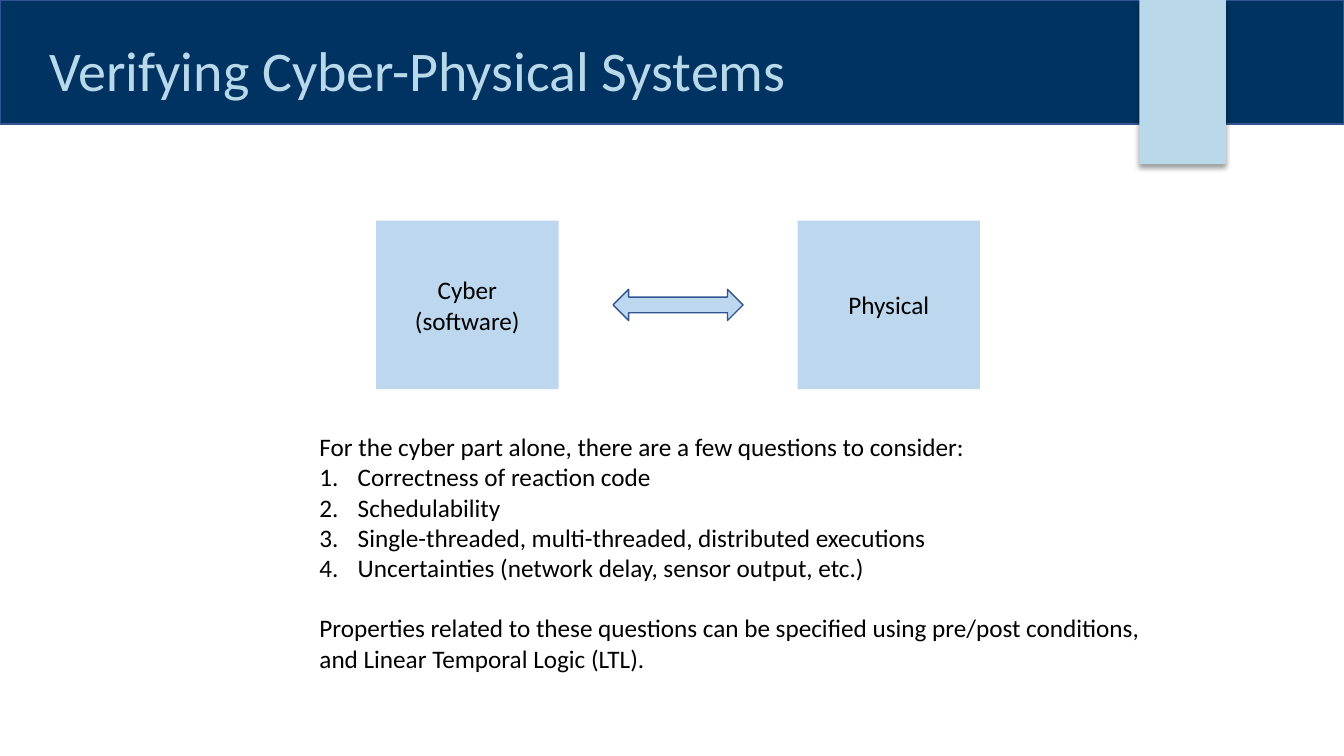
from lxml import etree
from pptx import Presentation
from pptx.dml.color import RGBColor
from pptx.enum.shapes import MSO_SHAPE
from pptx.enum.text import MSO_ANCHOR, PP_ALIGN
from pptx.oxml import parse_xml
from pptx.oxml.ns import qn
from pptx.util import Inches, Pt

RECTANGLE = MSO_SHAPE.RECTANGLE
DOUBLE_ARROW = MSO_SHAPE.LEFT_RIGHT_ARROW
TOP, MIDDLE, BOTTOM = MSO_ANCHOR.TOP, MSO_ANCHOR.MIDDLE, MSO_ANCHOR.BOTTOM
LEFT, CENTER = PP_ALIGN.LEFT, PP_ALIGN.CENTER

NAVY, SKY, PALE, EDGE, BLACK = "003262", "B9D9EB", "BDD7EE", "325491", "000000"
BODY = {"name": "Calibri", "size": Pt(18)}
HEADING = {"name": "Calibri", "size": Pt(40)}
QUESTIONS = [
    "Correctness of reaction code",
    "Schedulability",
    "Single-threaded, multi-threaded, distributed executions",
    "Uncertainties (network delay, sensor output, etc.)",
]
SHADOW = (
    '<a:effectLst xmlns:a="http://schemas.openxmlformats.org/drawingml/2006/main">'
    '<a:outerShdw blurRad="50800" dist="38100" dir="5400000" rotWithShape="0">'
    '<a:srgbClr val="000000"><a:alpha val="40000"/></a:srgbClr>'
    "</a:outerShdw></a:effectLst>"
)


def color(value):
    """Turn a hex string into a colour."""
    return RGBColor.from_string(value)


def add_block(page, kind, box, fill, line=None):
    """Add a filled preset shape, with an outline if a line colour is given."""
    block = page.shapes.add_shape(kind, *map(Inches, box))
    block.shadow.inherit = False
    block.fill.solid()
    block.fill.fore_color.rgb = color(fill)
    if line:
        block.line.color.rgb = color(line)
        block.line.width = Pt(1)
    else:
        block.line.fill.background()
    return block


def write(shape, lines, font, ink, anchor=TOP, align=LEFT):
    """Write one paragraph per line and return the paragraphs."""
    frame = shape.text_frame
    frame.word_wrap = True
    frame.vertical_anchor = anchor
    frame.text = "\n".join(lines)
    for para in frame.paragraphs:
        para.alignment = align
        for span in para.runs:
            for name, value in font.items():
                setattr(span.font, name, value)
            span.font.color.rgb = color(ink)
    return frame.paragraphs


def number(para, indent):
    """Give a paragraph an automatic number with a hanging indent."""
    props = para._p.get_or_add_pPr()
    props.set("marL", str(Inches(indent)))
    props.set("indent", str(Inches(-indent)))
    bullet_font = etree.SubElement(props, qn("a:buFont"))
    bullet_font.set("typeface", "+mj-lt")
    etree.SubElement(props, qn("a:buAutoNum")).set("type", "arabicPeriod")


def add_header(page, box):
    """Draw the title band with its hanging ribbon."""
    left, top, width, height = box
    add_block(page, RECTANGLE, box, NAVY, EDGE)
    title_box = (left + 0.39, top + 0.15, 10.51, 0.93)
    title = page.shapes.add_textbox(*map(Inches, title_box))
    lines = write(title, ["Verifying Cyber-Physical Systems"], HEADING, SKY, BOTTOM)
    lines[0].line_spacing = 0.9
    ribbon = add_block(page, RECTANGLE, (left + 11.3, top, 0.86, height + 0.4), SKY)
    ribbon.shadow.inherit = True
    ribbon._element.spPr.append(parse_xml(SHADOW))


def add_diagram(page, box):
    """Draw the two system parts at the ends of the box and an arrow between."""
    left, top, width, height = box
    part_width, arrow_width, arrow_height = 1.81, 1.29, 0.31
    parts = [["Cyber", "(software)"], ["Physical"]]
    for index, lines in enumerate(parts):
        part_left = left + index * (width - part_width)
        part = add_block(page, RECTANGLE, (part_left, top, part_width, height), PALE)
        write(part, lines, BODY, BLACK, MIDDLE, CENTER)
    arrow_left = left + (width - arrow_width) / 2
    arrow_top = top + (height - arrow_height) / 2
    arrow_box = (arrow_left, arrow_top, arrow_width, arrow_height)
    add_block(page, DOUBLE_ARROW, arrow_box, PALE, EDGE)


def add_questions(page, box):
    """Write the numbered questions between their lead-in and conclusion."""
    lead = "For the cyber part alone, there are a few questions to consider:"
    conclusion = (
        "Properties related to these questions can be specified using "
        "pre/post conditions, and Linear Temporal Logic (LTL)."
    )
    notes = page.shapes.add_textbox(*map(Inches, box))
    paras = write(notes, [lead, *QUESTIONS, conclusion], BODY, BLACK)
    for para in paras[1:-1]:
        number(para, 0.38)
    paras[-1].space_before = Pt(21.6)


def main():
    """Build the slide and save it."""
    deck = Presentation()
    deck.slide_width, deck.slide_height = Inches(13.33), Inches(7.5)
    page = deck.slides.add_slide(deck.slide_layouts[6])
    add_header(page, (0, 0, 13.33, 1.23))
    add_diagram(page, (3.73, 2.19, 5.99, 1.67))
    add_questions(page, (3.07, 4.23, 8.6, 2.52))
    deck.save("out.pptx")


if __name__ == "__main__":
    main()
